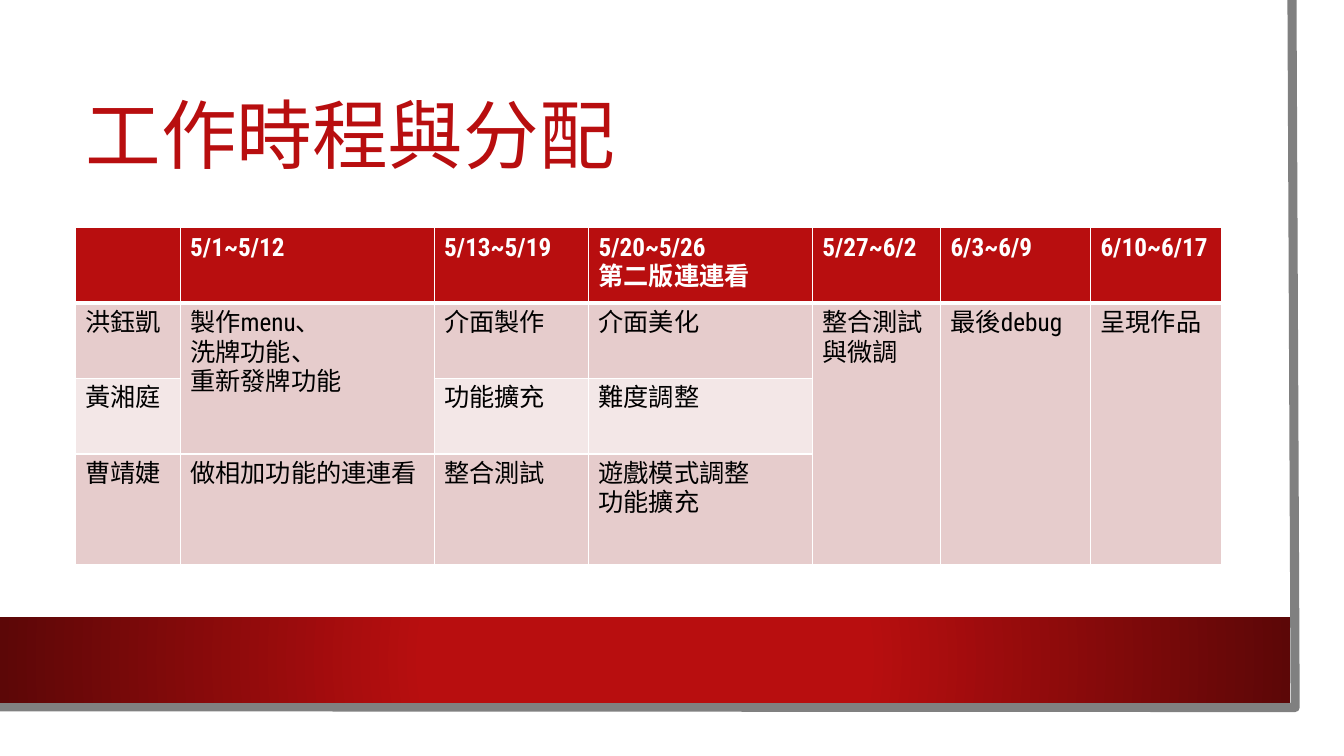
from lxml.etree import SubElement as Sub
from pptx import Presentation
from pptx.dml.color import RGBColor
from pptx.enum.shapes import MSO_SHAPE as Shape
from pptx.enum.text import MSO_ANCHOR as Anchor, MSO_AUTO_SIZE as Auto, PP_ALIGN as Align
from pptx.oxml import parse_xml
from pptx.oxml.ns import nsdecls, qn
from pptx.util import Cm, Pt

RED = RGBColor(0xB8, 0x0E, 0x0F)
DARK = RGBColor(0x5C, 0x07, 0x07)
GREY = RGBColor(0x80, 0x80, 0x80)
WHITE = RGBColor(0xFF, 0xFF, 0xFF)
BLACK = RGBColor(0x00, 0x00, 0x00)
ROSE = RGBColor(0xE6, 0xCC, 0xCC)
PALE = RGBColor(0xF3, 0xE7, 0xE7)
FONT = "Roboto Condensed"

COLS = [2.64, 6.4, 3.89, 5.64, 3.23, 3.78, 3.3]
ROWS = [1.9, 1.9, 1.9, 2.8]
FILLS = [RED, ROSE, PALE, ROSE]
PLAN = [
    ["", "5/1~5/12", "5/13~5/19", "5/20~5/26\n第二版連連看", "5/27~6/2", "6/3~6/9", "6/10~6/17"],
    ["洪鈺凱", "製作menu、\n洗牌功能、\n重新發牌功能", "介面製作", "介面美化",
     "整合測試\n與微調", "最後debug", "呈現作品"],
    ["黃湘庭", "", "功能擴充", "難度調整", "", "", ""],
    ["曹靖婕", "做相加功能的連連看", "整合測試", "遊戲模式調整\n功能擴充", "", "", ""],
]
MERGES = [(1, 2)] + [(col, 3) for col in (4, 5, 6)]


def style(frame, size, color, bold=False):
    """Format every run of a text frame."""
    for para in frame.paragraphs:
        for run in para.runs:
            font = run.font
            font.name, font.size, font.bold = FONT, Pt(size), bold
            font.color.rgb = color
            Sub(run._r.get_or_add_rPr(), qn("a:ea"), typeface=FONT)


def edge(cell, row):
    """Give a cell white borders, thick under the header row."""
    props = cell._tc.get_or_add_tcPr()
    widths = {"L": 1, "R": 1, "T": 3 if row == 1 else 1, "B": 3 if row == 0 else 1}
    for side, width in widths.items():
        line = Sub(props, qn(f"a:ln{side}"), w=str(Pt(width)))
        Sub(Sub(line, qn("a:solidFill")), qn("a:srgbClr"), val=str(WHITE))


def add_frame(slide, left, top, width, height):
    """Draw the grey edge along the right and bottom of the box."""
    right, base = left + width, top + height
    pen = slide.shapes.build_freeform(Cm(right - 0.08), Cm(top))
    pen.add_line_segments([(Cm(right), Cm(base)), (Cm(left), Cm(base - 0.02))], close=False)
    frame = pen.convert_to_shape()
    frame.shadow.inherit = False
    frame.fill.background()
    frame.line.color.rgb = GREY
    frame.line.width = Pt(6.5)


def add_band(slide, left, top, width, height):
    """Draw the red band that darkens towards its ends."""
    band = slide.shapes.add_shape(Shape.RECTANGLE, Cm(left), Cm(top), Cm(width), Cm(height))
    band.shadow.inherit = False
    band.line.fill.background()
    stops = "".join(f'<a:gs pos="{pos}000"><a:srgbClr val="{color}"/></a:gs>'
                    for pos, color in ((34, RED), (100, DARK)))
    grad = parse_xml(
        f'<a:gradFill {nsdecls("a")}><a:gsLst>{stops}</a:gsLst><a:path path="circle">'
        '<a:fillToRect l="50000" t="50000" r="50000" b="50000"/></a:path></a:gradFill>')
    band._element.spPr.find(qn("a:prstGeom")).addnext(grad)


def add_title(slide, left, top, width, height):
    """Place and format the title."""
    title = slide.shapes.title
    title.left, title.top, title.width, title.height = map(Cm, (left, top, width, height))
    frame = title.text_frame
    frame.text = "工作時程與分配"
    frame.auto_size = Auto.NONE
    frame.word_wrap = True
    frame.vertical_anchor = Anchor.MIDDLE
    para = frame.paragraphs[0]
    para.alignment = Align.LEFT
    para.line_spacing = 0.9
    style(frame, 54, RED)


def add_plan(slide, left, top):
    """Draw the table of dates and tasks."""
    shape = slide.shapes.add_table(len(ROWS), len(COLS), Cm(left), Cm(top),
                                   Cm(sum(COLS)), Cm(sum(ROWS)))
    table = shape.table
    for col, width in zip(table.columns, COLS):
        col.width = Cm(width)
    for row, height in zip(table.rows, ROWS):
        row.height = Cm(height)
    for col, last in MERGES:
        table.cell(1, col).merge(table.cell(last, col))
    for row, texts in enumerate(PLAN):
        for col, text in enumerate(texts):
            cell = table.cell(row, col)
            edge(cell, row)
            cell.fill.solid()
            cell.fill.fore_color.rgb = ROSE if cell.is_spanned else FILLS[row]
            if text:
                cell.text_frame.text = text
                style(cell.text_frame, 18, BLACK if row else WHITE, row == 0)


def main():
    """Build and save the slide."""
    deck = Presentation()
    deck.slide_width, deck.slide_height = Cm(33.87), Cm(19.05)
    slide = deck.slides.add_slide(deck.slide_layouts[5])
    add_frame(slide, -0.08, 0, 32.72, 17.83)
    add_band(slide, 0, 15.55, 32.51, 2.16)
    add_title(slide, 1.9, 1.9, 28.88, 3.2)
    add_plan(slide, 1.9, 5.74)
    deck.save("out.pptx")


if __name__ == "__main__":
    main()
